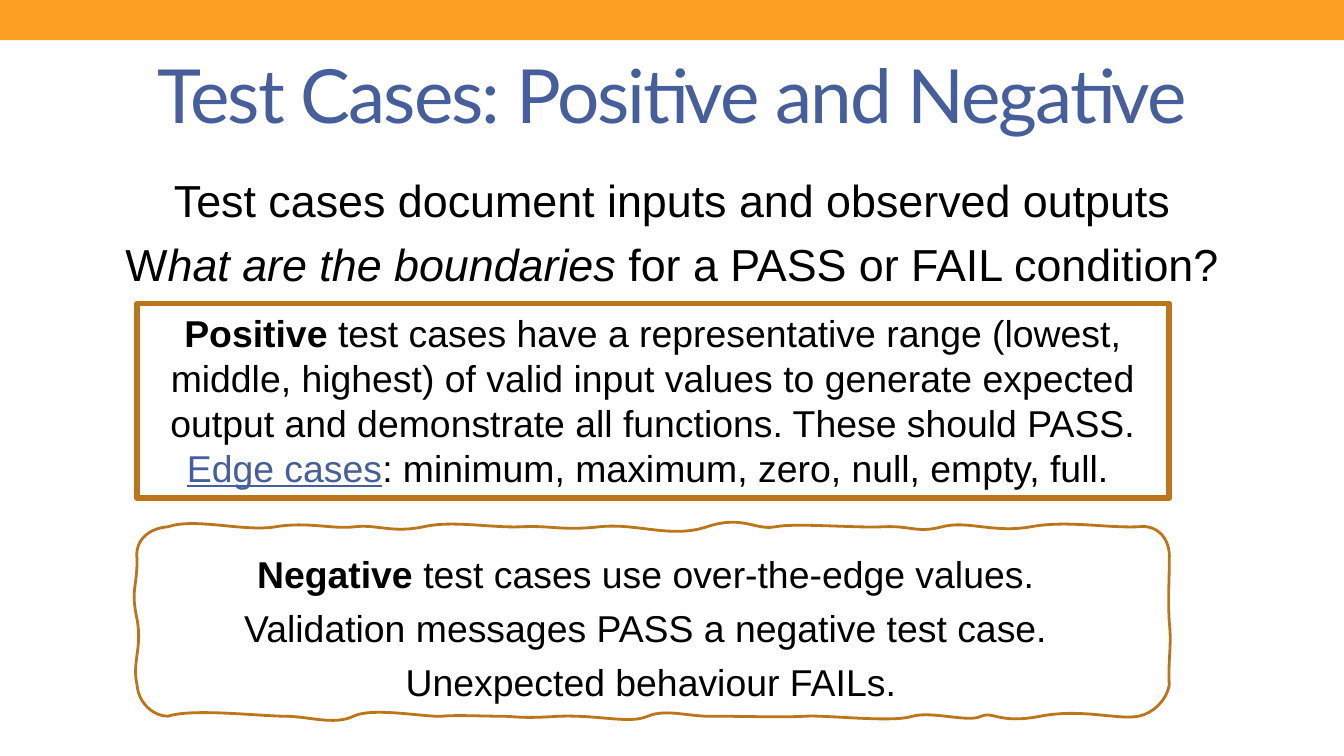
from lxml.etree import SubElement
from pptx import Presentation
from pptx.dml.color import RGBColor
from pptx.enum.shapes import MSO_SHAPE
from pptx.enum.text import MSO_ANCHOR, PP_ALIGN
from pptx.oxml.ns import qn
from pptx.util import Cm, Pt

ORANGE, BROWN, BLUE, BLACK = "FDA023", "BB761A", "465E9C", "000000"
BOLD, ITALIC, LINK = "bold", "italic", "link"

TITLE = "Test Cases: Positive and Negative"
INTRO = [
    [("Test cases document inputs and observed outputs", None)],
    [("W", None), ("hat are the boundaries ", ITALIC),
     ("for a PASS or FAIL condition?", None)],
]
POSITIVE = [[
    ("Positive", BOLD),
    (" test cases have a representative range (lowest, middle, highest) of valid "
     "input values to generate expected output and demonstrate all functions. "
     "These should PASS.\n", None),
    ("Edge cases", LINK),
    (": minimum, maximum, zero, null, empty, full. ", None),
]]
NEGATIVE = [[
    ("Negative", BOLD),
    (" test cases use over-the-edge values. \nValidation messages PASS a negative "
     "test case. \nUnexpected behaviour FAILs.", None),
]]

BORDER_UNIT = Cm(0.0254)
BORDER_LEFT, BORDER_TOP = 102, 392
BORDER_START = (102, 416)
BORDER_CURVES = [
    (100, 402, 111, 393, 125, 392), (145, 385, 182, 396, 205, 392),
    (229, 388, 247, 394, 264, 392), (280, 390, 292, 397, 315, 392),
    (337, 387, 365, 393, 388, 392), (411, 391, 418, 395, 446, 392),
    (474, 389, 499, 401, 526, 392), (553, 383, 562, 395, 577, 392),
    (592, 389, 636, 393, 657, 392), (678, 391, 682, 397, 701, 392),
    (720, 387, 739, 397, 767, 392), (794, 387, 822, 393, 847, 392),
    (862, 390, 871, 402, 870, 416), (870, 436, 869, 444, 870, 463),
    (872, 481, 869, 490, 870, 510), (868, 521, 858, 531, 847, 533),
    (832, 536, 805, 527, 774, 533), (743, 539, 739, 529, 730, 533),
    (721, 538, 694, 529, 679, 533), (664, 538, 615, 532, 599, 533),
    (583, 534, 552, 533, 533, 533), (514, 534, 496, 527, 482, 533),
    (468, 539, 447, 532, 416, 533), (386, 535, 385, 533, 372, 533),
    (360, 533, 339, 532, 329, 533), (318, 534, 277, 526, 263, 533),
    (249, 540, 229, 533, 212, 533), (194, 533, 143, 527, 125, 533),
    (114, 533, 103, 523, 102, 510), (98, 492, 106, 483, 102, 461),
    (97, 438, 102, 438, 102, 416),
]


def color(target, value):
    target.rgb = RGBColor.from_string(value)


def outline(shape, width):
    shape.shadow.inherit = False
    shape.fill.background()
    color(shape.line.color, BROWN)
    shape.line.width = Pt(width)


def style(font, name, size, value):
    font.name, font.size = name, Pt(size)
    color(font.color, value)


def write(frame, paragraphs, size, spacing=None):
    frame.word_wrap = True
    for index, parts in enumerate(paragraphs):
        paragraph = frame.add_paragraph() if index else frame.paragraphs[0]
        paragraph.alignment = PP_ALIGN.CENTER
        paragraph.line_spacing = spacing
        for text, look in parts:
            for row, line in enumerate(text.split("\n")):
                if row:
                    paragraph.add_line_break()
                if not line:
                    continue
                run = paragraph.add_run()
                run.text = line
                style(run.font, "Arial", size, BLUE if look == LINK else BLACK)
                run.font.bold = look == BOLD
                run.font.italic = look == ITALIC
                run.font.underline = look == LINK


def draw_border(shapes):
    builder = shapes.build_freeform(*BORDER_START, scale=BORDER_UNIT)
    builder.add_line_segments([curve[4:] for curve in BORDER_CURVES], close=False)
    border = builder.convert_to_shape()
    outline(border, 1.5)
    segments = list(border._element.iter(qn("a:lnTo")))
    for segment, curve in zip(segments, BORDER_CURVES):
        bend = SubElement(segment.getparent(), qn("a:cubicBezTo"))
        for x, y in zip(curve[::2], curve[1::2]):
            SubElement(bend, qn("a:pt"), x=str(x - BORDER_LEFT), y=str(y - BORDER_TOP))
        segment.getparent().replace(segment, bend)
    SubElement(bend.getparent(), qn("a:close"))


presentation = Presentation()
presentation.slide_width, presentation.slide_height = Cm(25.4), Cm(14.29)
slide = presentation.slides.add_slide(presentation.slide_layouts[5])
shapes = slide.shapes

band = shapes.add_shape(MSO_SHAPE.RECTANGLE, 0, 0, presentation.slide_width, Cm(0.76))
band.shadow.inherit = False
band.fill.solid()
color(band.fill.fore_color, ORANGE)
band.line.fill.background()

title = shapes.title
title.left, title.top, title.width, title.height = Cm(1.27), Cm(0.74), Cm(22.86), Cm(2.06)
title.text_frame.vertical_anchor = MSO_ANCHOR.MIDDLE
heading = title.text_frame.paragraphs[0]
heading.alignment = PP_ALIGN.CENTER
heading_run = heading.add_run()
heading_run.text = TITLE
style(heading_run.font, "Lato", 40, BLUE)
heading_run.font._element.set("spc", "-100")

intro = shapes.add_textbox(Cm(1.27), Cm(2.93), Cm(22.86), Cm(10.59))
write(intro.text_frame, INTRO, 24, 1.2)

positive = shapes.add_shape(MSO_SHAPE.RECTANGLE, Cm(2.59), Cm(5.74), Cm(19.51), Cm(3.68))
outline(positive, 3)
positive.text_frame.vertical_anchor = MSO_ANCHOR.TOP
write(positive.text_frame, POSITIVE, 20)

negative = shapes.add_textbox(Cm(3.3), Cm(10.13), Cm(18.01), Cm(3.25))
write(negative.text_frame, NEGATIVE, 20, 1.2)

draw_border(shapes)

presentation.save("out.pptx")
